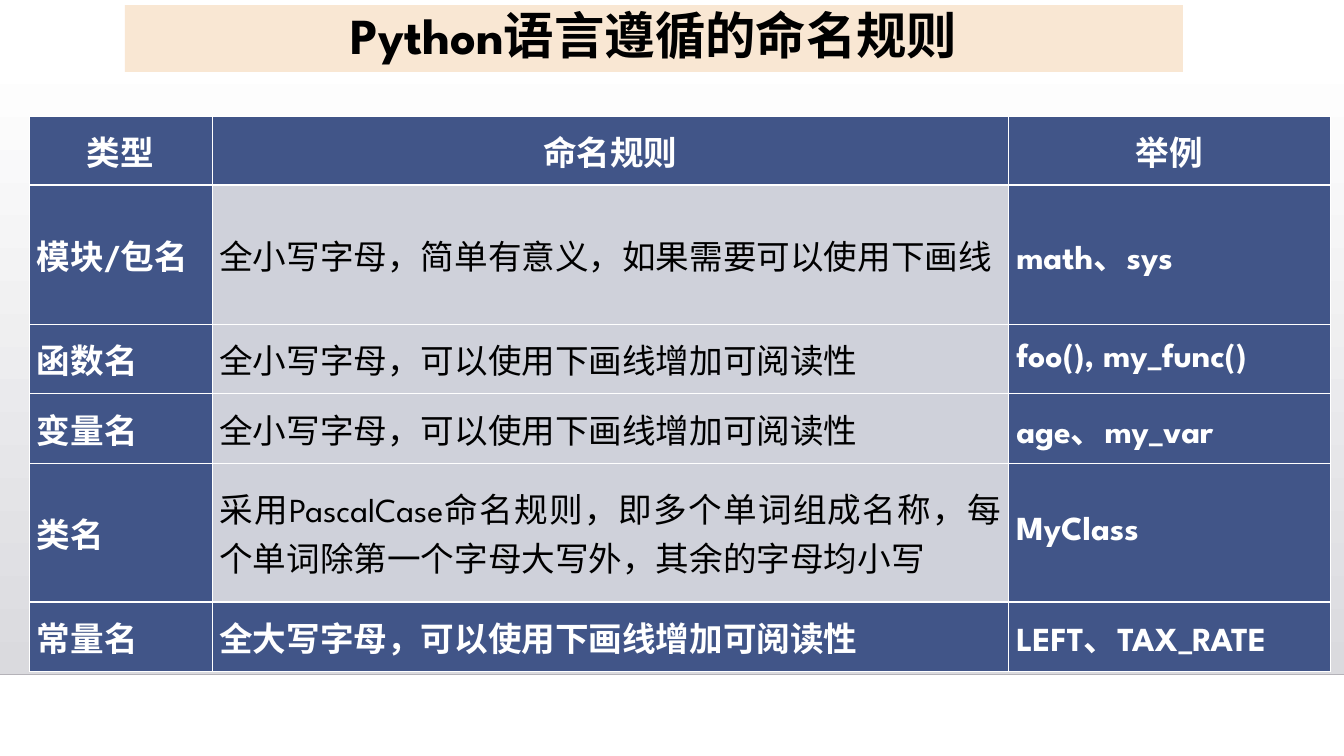
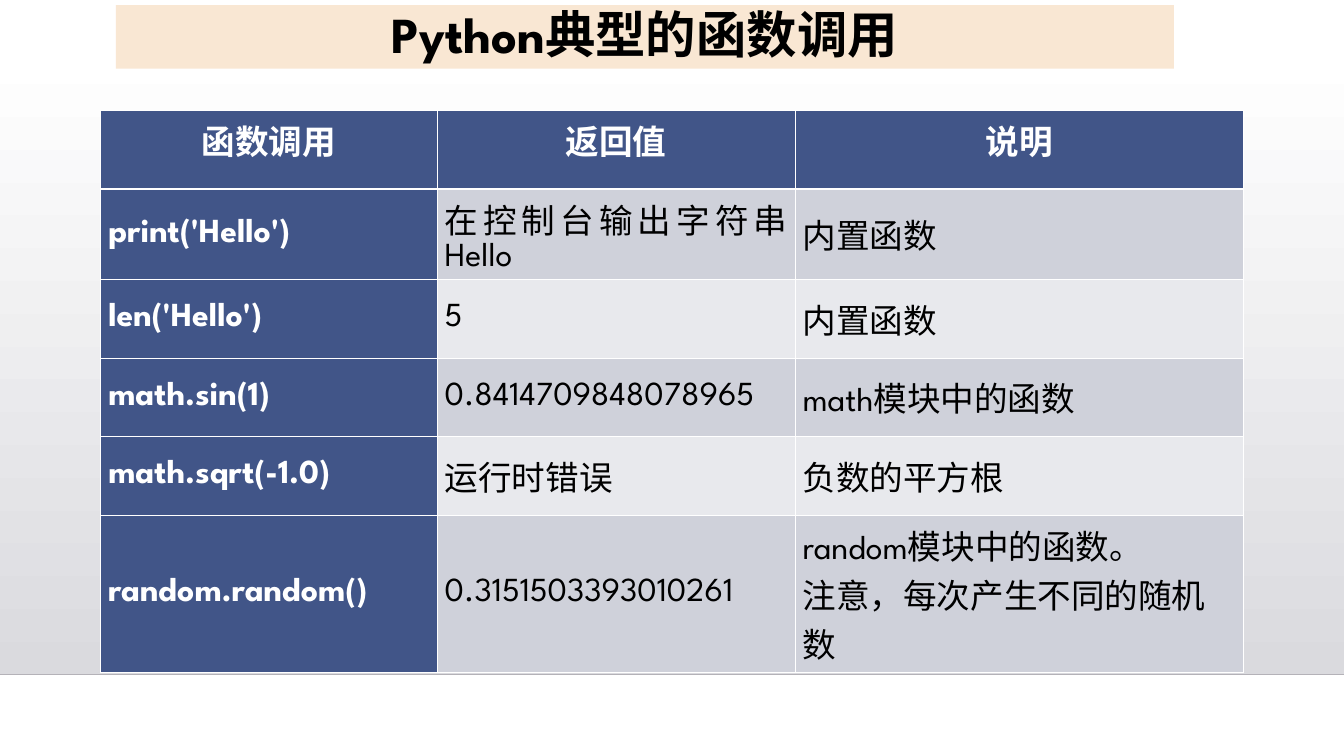
from dataclasses import dataclass
from typing import Optional

from lxml.etree import SubElement
from pptx import Presentation
from pptx.dml.color import RGBColor
from pptx.enum.lang import MSO_LANGUAGE_ID as Language
from pptx.enum.shapes import MSO_CONNECTOR as Connector
from pptx.enum.shapes import MSO_SHAPE as Preset
from pptx.enum.text import MSO_ANCHOR as Anchor
from pptx.enum.text import MSO_AUTO_SIZE as AutoSize
from pptx.enum.text import PP_ALIGN as Align
from pptx.oxml import parse_xml
from pptx.oxml.ns import nsdecls, qn
from pptx.util import Cm, Pt


@dataclass(frozen=True)
class Theme:
    font: str = "League Spartan"
    title_size: float = 36
    table_size: float = 24
    thin_border: float = 0.45
    thick_border: float = 1.47
    black: str = "000000"
    white: str = "FFFFFF"
    title_band: str = "F9E7D3"
    navy: str = "415588"
    grey: str = "CFD1DA"
    light_grey: str = "E8E9ED"
    backdrop_end: str = "DADADE"
    floor_line: str = "B4B2B8"


THEME = Theme()
SLIDE_WIDTH, SLIDE_HEIGHT = 33.88, 19.05
BACKDROP_TOP, FLOOR = 1.3, 17.0
TITLE_TOP, TITLE_WIDTH = 0.13, 26.67


@dataclass(frozen=True)
class TableSlide:
    title: str
    title_left: float
    title_height: float
    left: float
    top: float
    columns: tuple[float, ...]
    rows: tuple[float, ...]
    cells: tuple[tuple[str, ...], ...]
    navy_columns: tuple[int, ...]
    body_fills: tuple[str, ...]
    header_anchor: Anchor = Anchor.MIDDLE
    left_column: Optional[int] = None
    navy_last_row: bool = False

    def is_navy(self, row: int, column: int) -> bool:
        last = self.navy_last_row and row == len(self.rows) - 1
        return row == 0 or last or column in self.navy_columns

    def has_thick_top(self, row: int) -> bool:
        return row == 1 or (self.navy_last_row and row == len(self.rows) - 1)


NAMING = TableSlide(
    title="Python语言遵循的命名规则",
    title_left=3.15,
    title_height=1.68,
    left=0.74,
    top=2.92,
    columns=(4.6, 20.09, 8.1),
    rows=(1.75, 3.5, 1.75, 1.75, 3.5, 1.75),
    cells=(
        ("类型", "命名规则", "举例"),
        ("模块/包名", "全小写字母，简单有意义，如果需要可以使用下画线", "math、sys"),
        ("函数名", "全小写字母，可以使用下画线增加可阅读性", "foo(), my_func()"),
        ("变量名", "全小写字母，可以使用下画线增加可阅读性", "age、my_var"),
        (
            "类名",
            "采用PascalCase命名规则，即多个单词组成名称，每个单词除第一个字母大写外，其余的字母均小写",
            "MyClass",
        ),
        ("常量名", "全大写字母，可以使用下画线增加可阅读性", "LEFT、TAX_RATE"),
    ),
    navy_columns=(0, 2),
    body_fills=(THEME.grey,),
    navy_last_row=True,
)

CALLS = TableSlide(
    title="Python典型的函数调用",
    title_left=2.92,
    title_height=1.6,
    left=2.54,
    top=2.79,
    columns=(8.48, 9.02, 11.3),
    rows=(1.98, 2.03, 1.98, 1.98, 1.98, 3.97),
    cells=(
        ("函数调用", "返回值", "说明"),
        ("print('Hello')", "在控制台输出字符串Hello", "内置函数"),
        ("len('Hello')", "5", "内置函数"),
        ("math.sin(1)", "0.8414709848078965", "math模块中的函数"),
        ("math.sqrt(-1.0)", "运行时错误", "负数的平方根"),
        (
            "random.random()",
            "0.3151503393010261",
            "random模块中的函数。\n注意，每次产生不同的随机数",
        ),
    ),
    navy_columns=(0,),
    body_fills=(THEME.grey, THEME.light_grey),
    header_anchor=Anchor.TOP,
    left_column=2,
)


def color(value: str) -> RGBColor:
    return RGBColor.from_string(value)


def format_paragraph(paragraph, size: float, text_color: str, bold: bool, align: Align) -> None:
    paragraph.alignment = align
    font = paragraph.font
    font.name = THEME.font
    font.size = Pt(size)
    font.bold = bold
    font.color.rgb = color(text_color)
    font.language_id = Language.SIMPLIFIED_CHINESE


def add_backdrop(layout, slide) -> None:
    shape = slide.shapes.add_shape(
        Preset.RECTANGLE, 0, Cm(BACKDROP_TOP), Cm(SLIDE_WIDTH), Cm(FLOOR - BACKDROP_TOP)
    )
    shape.shadow.inherit = False
    shape.line.fill.background()
    shape.fill.gradient()
    shape.fill.gradient_angle = 270
    for stop, value in zip(shape.fill.gradient_stops, (THEME.white, THEME.backdrop_end)):
        stop.color.rgb = color(value)

    line = slide.shapes.add_connector(
        Connector.STRAIGHT, 0, Cm(FLOOR), Cm(SLIDE_WIDTH), Cm(FLOOR)
    )
    line.line.color.rgb = color(THEME.floor_line)
    line.line.width = Pt(1)
    SubElement(line.element.spPr, qn("a:effectLst"))

    for index, item in enumerate((shape, line), start=2):
        layout.shapes.element.insert(index, item.element)


def add_title(slide, content: TableSlide) -> None:
    title = slide.shapes.title
    title.left, title.top = Cm(content.title_left), Cm(TITLE_TOP)
    title.width, title.height = Cm(TITLE_WIDTH), Cm(content.title_height)
    title.fill.solid()
    title.fill.fore_color.rgb = color(THEME.title_band)
    frame = title.text_frame
    frame.text = content.title
    frame.auto_size = AutoSize.NONE
    frame.vertical_anchor = Anchor.MIDDLE
    paragraph = frame.paragraphs[0]
    paragraph.line_spacing = 0.9
    format_paragraph(paragraph, THEME.title_size, THEME.black, True, Align.CENTER)


def set_borders(cell, top: float, bottom: float) -> None:
    properties = cell._tc.get_or_add_tcPr()
    thin = THEME.thin_border
    widths = {"lnL": thin, "lnR": thin, "lnT": top, "lnB": bottom}
    for index, (side, width) in enumerate(widths.items()):
        border = parse_xml(
            f'<a:{side} {nsdecls("a")} w="{int(Pt(width))}"><a:solidFill>'
            f'<a:srgbClr val="{THEME.white}"/></a:solidFill></a:{side}>'
        )
        properties.insert(index, border)


def format_cell(cell, content: TableSlide, row: int, column: int) -> None:
    navy = content.is_navy(row, column)
    body_fill = content.body_fills[(row - 1) % len(content.body_fills)]
    cell.text = content.cells[row][column]
    cell.fill.solid()
    cell.fill.fore_color.rgb = color(THEME.navy if navy else body_fill)
    cell.margin_left = cell.margin_right = Cm(0.19)
    cell.margin_top = cell.margin_bottom = Cm(0.13)
    cell.vertical_anchor = content.header_anchor if row == 0 else Anchor.MIDDLE
    if row == 0:
        align = Align.CENTER
    else:
        align = Align.LEFT if column == content.left_column else Align.JUSTIFY
    text_color = THEME.white if navy else THEME.black
    for paragraph in cell.text_frame.paragraphs:
        format_paragraph(paragraph, THEME.table_size, text_color, navy, align)
    top, bottom = (
        THEME.thick_border if content.has_thick_top(edge) else THEME.thin_border
        for edge in (row, row + 1)
    )
    set_borders(cell, top, bottom)


def add_table(slide, content: TableSlide) -> None:
    table = slide.shapes.add_table(
        len(content.rows),
        len(content.columns),
        Cm(content.left),
        Cm(content.top),
        Cm(sum(content.columns)),
        Cm(sum(content.rows)),
    ).table
    table.horz_banding = False
    for column, width in zip(table.columns, content.columns):
        column.width = Cm(width)
    for row, height in enumerate(content.rows):
        table.rows[row].height = Cm(height)
        for column in range(len(content.columns)):
            format_cell(table.cell(row, column), content, row, column)


def main() -> None:
    presentation = Presentation()
    presentation.slide_width, presentation.slide_height = Cm(SLIDE_WIDTH), Cm(SLIDE_HEIGHT)
    layout = presentation.slide_layouts.get_by_name("Title Only")
    slides = [(presentation.slides.add_slide(layout), content) for content in (NAMING, CALLS)]
    add_backdrop(layout, slides[0][0])
    for slide, content in slides:
        add_title(slide, content)
        add_table(slide, content)
    presentation.save("out.pptx")


if __name__ == "__main__":
    main()
